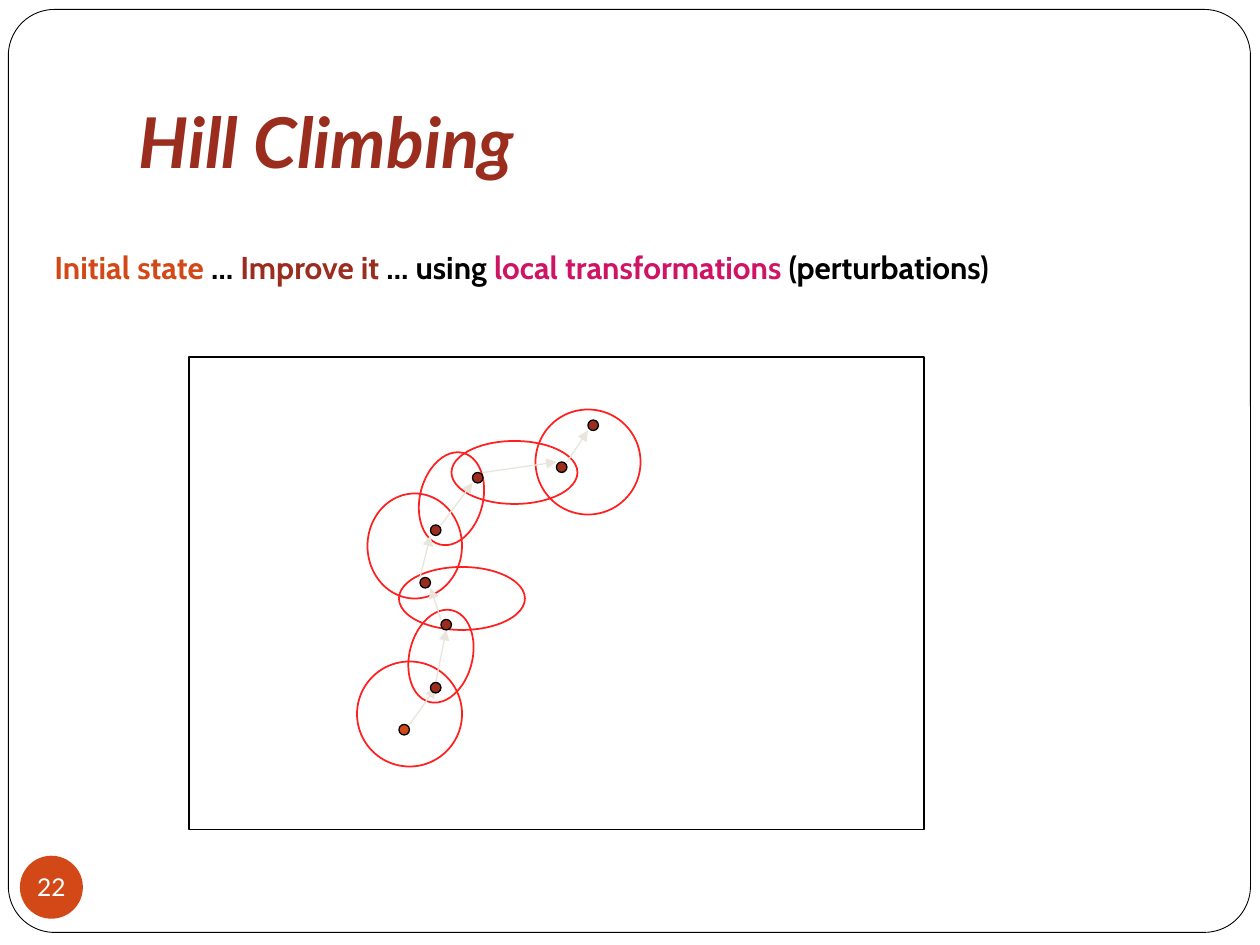
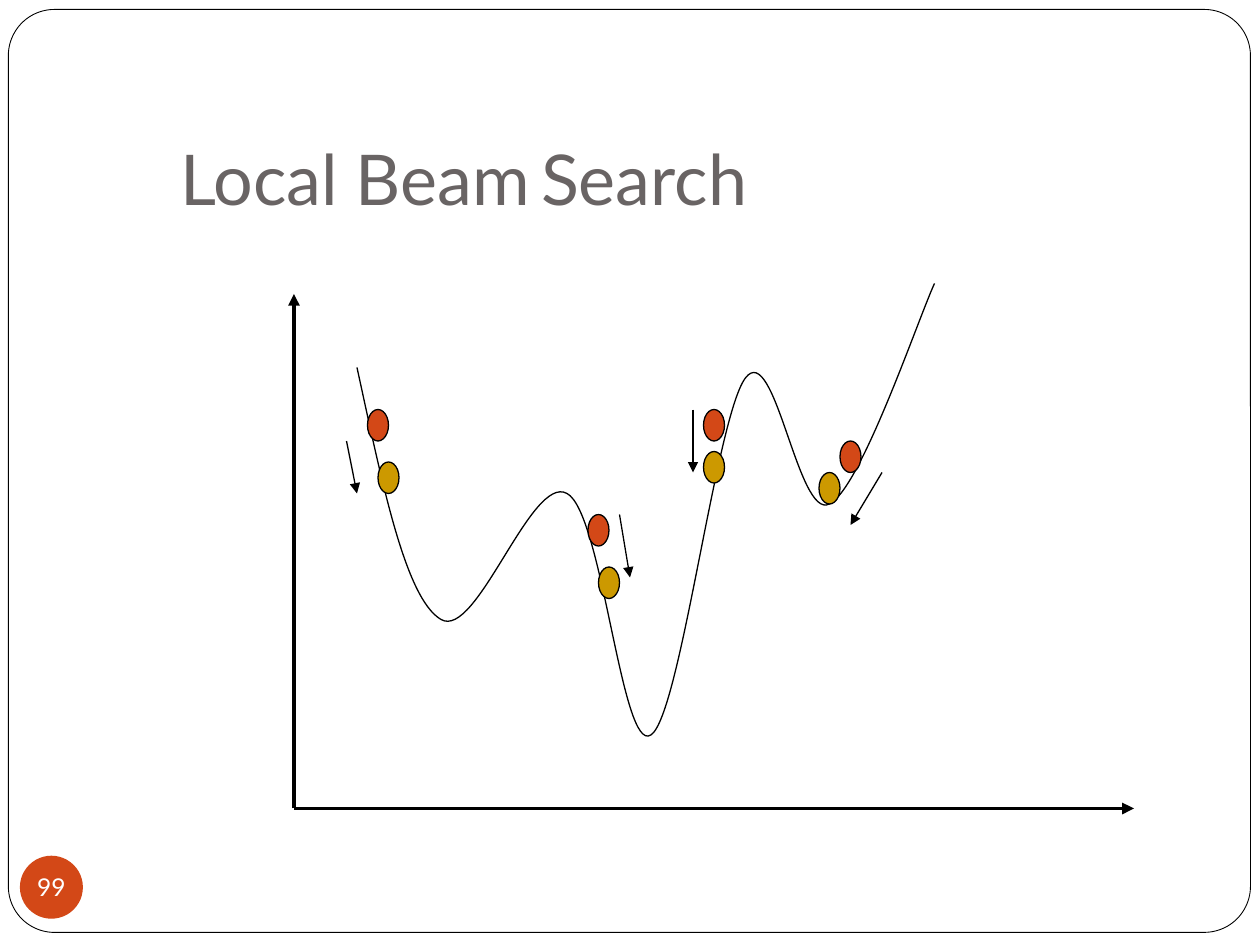
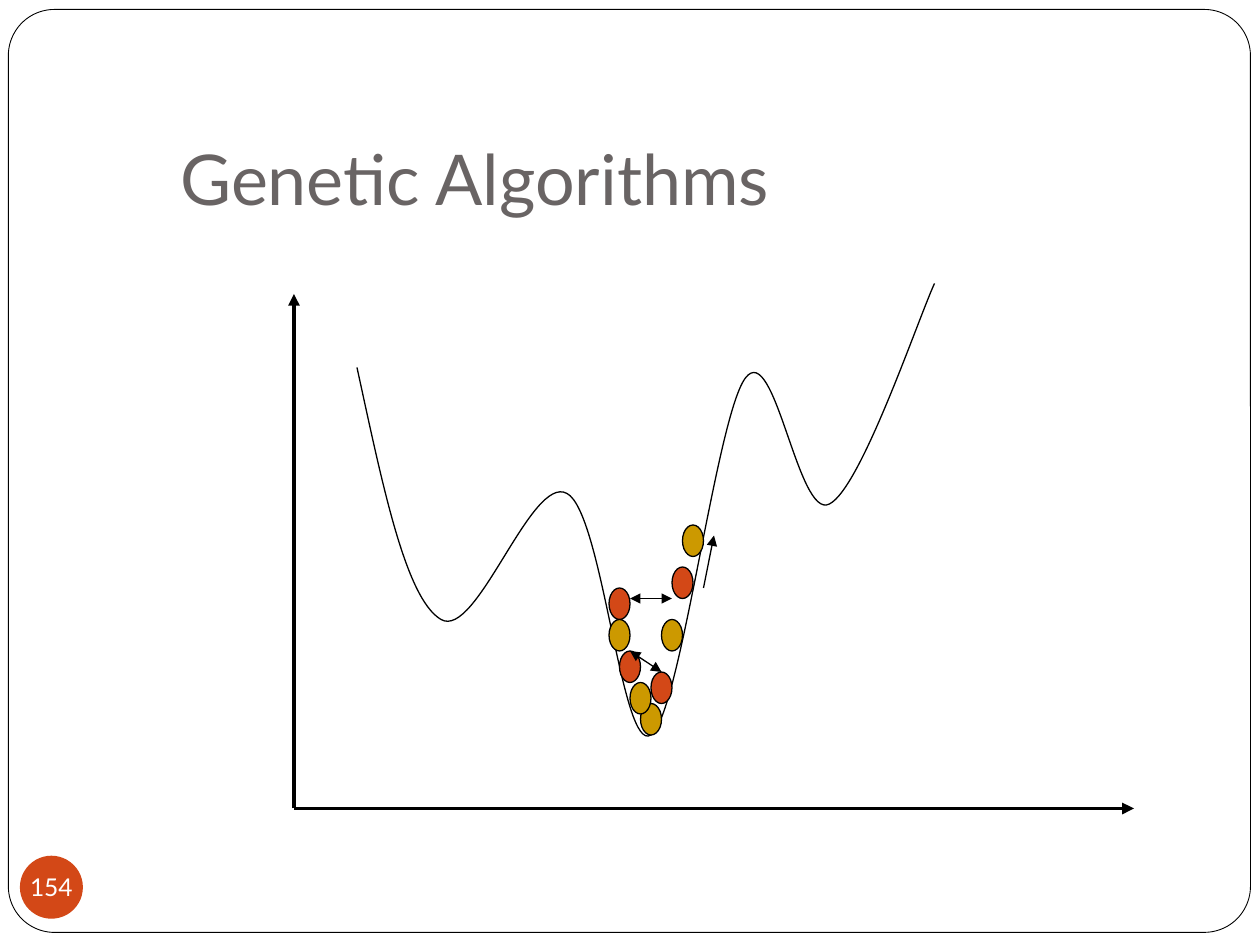
from lxml import etree
from pptx import Presentation
from pptx.dml.color import RGBColor
from pptx.enum.shapes import MSO_CONNECTOR as CONN, MSO_SHAPE as SHAPE
from pptx.enum.text import MSO_ANCHOR as ANCHOR, PP_ALIGN as ALIGN
from pptx.oxml.ns import qn
from pptx.util import Emu, Pt

PX = 7620  # EMU per px, 120 px to the inch

BLACK, WHITE = "000000", "FFFFFF"
ORANGE, BROWN, GOLD = "D34817", "9B2D1F", "CC9900"
RED, PINK, GREY, PALE = "FF1F1F", "D01465", "696464", "E9E5DC"

TITLE_BOX = (160, 113, 1022, 108)
CHART_BOX = (280, 280, 800, 490)

# Start point, then two control points and an end point for each bend
LANDSCAPE = [
    (60, 70),
    (84, 180), (106, 290), (140, 310),
    (174, 330), (226, 171), (260, 190),
    (294, 208), (312, 439), (340, 420),
    (368, 402), (402, 117), (430, 80),
    (458, 43), (480, 216), (510, 200),
    (540, 185), (594, 25), (610, -10),
]


def px(*lengths):
    return [Emu(n * PX) for n in lengths]


def rgb(color):
    return RGBColor.from_string(color)


def style(sp, fill=None, line=None, width=0.75):
    sp.shadow.inherit = False
    if fill:
        sp.fill.solid()
        sp.fill.fore_color.rgb = rgb(fill)
    else:
        sp.fill.background()
    if line:
        sp.line.color.rgb = rgb(line)
        sp.line.width = Pt(width)
    else:
        sp.line.fill.background()
    return sp


def add_shape(s, kind, box, **look):
    return style(s.shapes.add_shape(kind, *px(*box)), **look)


def add_line(s, start, end, color=BLACK, width=0.75, heads=("tailEnd",)):
    """Draw a line; headEnd marks an arrowhead at start, tailEnd at end."""
    line = s.shapes.add_connector(CONN.STRAIGHT, *px(*start, *end))
    line.line.color.rgb = rgb(color)
    line.line.width = Pt(width)
    ln = line.line._get_or_add_ln()
    for head in heads:
        etree.SubElement(ln, qn(f"a:{head}"), type="triangle")
    etree.SubElement(line._element.spPr, qn("a:effectLst"))


def write(sp, runs, font="Lato", size=40, color=BLACK, bold=False, italic=False,
          align=ALIGN.LEFT, anchor=ANCHOR.TOP, insets=(12, 6, 12, 6), wrap=True):
    """Fill a shape with one paragraph; each run is (text, overriding format)."""
    tf = sp.text_frame
    tf.word_wrap, tf.vertical_anchor = wrap, anchor
    tf.margin_left, tf.margin_top, tf.margin_right, tf.margin_bottom = px(*insets)
    p = tf.paragraphs[0]
    p.alignment = align
    for text, own in runs:
        r = p.add_run()
        r.text = text
        r.font.name = font
        r.font.size = Pt(own.get("size", size))
        r.font.color.rgb = rgb(own.get("color", color))
        r.font.bold = bold
        r.font.italic = own.get("italic", italic)


def add_text(s, box, runs, **fmt):
    write(s.shapes.add_textbox(*px(*box)), runs, **fmt)


def new_slide(prs, number, title, title_box=TITLE_BOX, **title_format):
    s = prs.slides.add_slide(prs.slide_layouts[6])
    frame = add_shape(s, SHAPE.ROUNDED_RECTANGLE, (8, 9, 1183, 879),
                      fill=WHITE, line=BLACK, width=0.5)
    frame.adjustments[0] = 0.05
    add_text(s, title_box, title, anchor=ANCHOR.BOTTOM, insets=(12, 6, 12, 12),
             **{"color": GREY, **title_format})
    badge = add_shape(s, SHAPE.OVAL, (19, 815, 60, 60), fill=ORANGE)
    write(badge, [(str(number), {})], size=14, color=WHITE, align=ALIGN.CENTER,
          anchor=ANCHOR.MIDDLE, insets=(0, 0, 0, 0), wrap=False)
    return s


def draw_climb(s, box):
    """Draw the path of states, each move inside its neighbourhood."""
    left, top = box[:2]

    def at(x, y):
        return left + x, top + y

    add_shape(s, SHAPE.RECTANGLE, box, line=BLACK)
    neighbourhoods = [
        (160, 290, 100, 100, 0), (210, 240, 60, 90, 14), (200, 200, 120, 60, 0),
        (170, 130, 90, 100, 0), (220, 90, 60, 90, 14), (250, 80, 120, 60, 0),
        (330, 50, 100, 100, 0),
    ]
    for x, y, w, h, turn in neighbourhoods:
        ring = add_shape(s, SHAPE.OVAL, (*at(x, y), w, h), line=RED, width=1)
        ring.rotation = turn
    moves = [
        ((210, 350), (235, 315)), ((235, 310), (245, 260)), ((240, 250), (230, 220)),
        ((220, 210), (230, 170)), ((240, 160), (270, 120)), ((280, 110), (350, 100)),
        ((360, 100), (380, 70)),
    ]
    for start, end in moves:
        add_line(s, at(*start), at(*end), color=PALE)
    states = [(200, 350), (230, 310), (240, 250), (220, 210),
              (230, 160), (270, 110), (350, 100), (380, 60)]
    for i, state in enumerate(states):
        add_shape(s, SHAPE.OVAL, (*at(*state), 10, 10),
                  fill=BROWN if i else ORANGE, line=BLACK)


def draw_curve(s, points):
    start, *rest = [px(*point) for point in points]
    builder = s.shapes.build_freeform(*start)
    builder.add_line_segments(rest, close=False)
    sp = style(builder.convert_to_shape(), line=BLACK)
    segments = list(sp._element.iter(qn("a:lnTo")))
    outline = segments[0].getparent()
    for i in range(0, len(segments), 3):
        bend = etree.SubElement(outline, qn("a:cubicBezTo"))
        for segment in segments[i:i + 3]:
            bend.append(segment[0])
            outline.remove(segment)


def draw_search(s, box, balls, arrows):
    """Draw axes and landscape, then balls by colour and arrows (start, end, heads)."""
    left, top, width, height = box

    def at(x, y):
        return left + x, top + y

    origin = at(0, height)
    for end in (at(0, 0), at(width, height)):
        add_line(s, origin, end, width=2.25)
    draw_curve(s, [at(*point) for point in LANDSCAPE])
    for color, spots in balls:
        for spot in spots:
            add_shape(s, SHAPE.OVAL, (*at(*spot), 20, 30), fill=color, line=BLACK)
    for start, end, heads in arrows:
        add_line(s, at(*start), at(*end), heads=heads)


def hill_climbing(prs):
    s = new_slide(prs, 22, [("Hill Climbing", {})], (120, 60, 1020, 126),
                  color=BROWN, bold=True, italic=True)
    draw_climb(s, (180, 340, 700, 450))
    add_text(s, (40, 230, 1130, 48), [
        ("Initial state", {"color": ORANGE}),
        (" … ", {}),
        ("Improve it", {"color": BROWN}),
        (" … using ", {}),
        ("local transformations", {"color": PINK}),
        (" (perturbations)", {}),
    ], font="Cabin", size=18, bold=True)


def local_beam_search(prs):
    s = new_slide(prs, 99, [
        ("Local Beam", {}),
        (" ", {"size": 28, "color": BROWN, "italic": True}),
        ("Search", {}),
    ])
    one_way = ("tailEnd",)
    draw_search(s, CHART_BOX, [
        (ORANGE, [(70, 110), (280, 210), (390, 110), (520, 140)]),
        (GOLD, [(80, 160), (290, 260), (500, 170), (390, 150)]),
    ], [
        ((50, 140), (60, 190), one_way),
        ((310, 210), (320, 270), one_way),
        ((380, 110), (380, 170), one_way),
        ((560, 170), (530, 220), one_way),
    ])


def genetic_algorithms(prs):
    s = new_slide(prs, 154, [("Genetic Algorithms", {})])
    both_ways = ("headEnd", "tailEnd")
    draw_search(s, CHART_BOX, [
        (ORANGE, [(300, 280), (360, 260), (340, 360), (310, 340)]),
        (GOLD, [(370, 220), (330, 390), (320, 370), (300, 310), (350, 310)]),
    ], [
        ((320, 340), (350, 360), both_ways),
        ((320, 290), (360, 290), both_ways),
        ((390, 280), (400, 230), ("tailEnd",)),
    ])


def main():
    prs = Presentation()
    prs.slide_width, prs.slide_height = px(1200, 900)
    hill_climbing(prs)
    local_beam_search(prs)
    genetic_algorithms(prs)
    prs.save("out.pptx")


if __name__ == "__main__":
    main()
